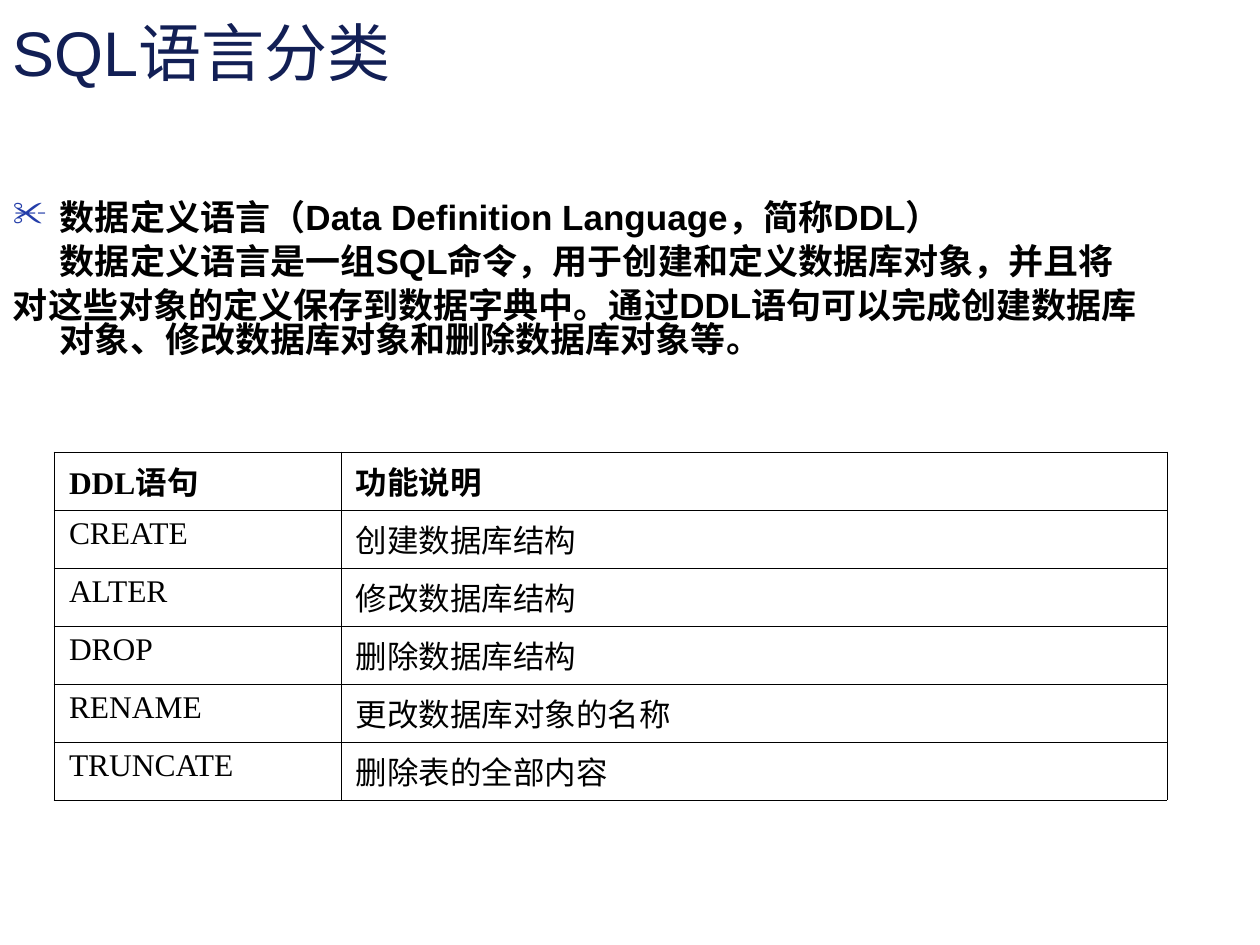
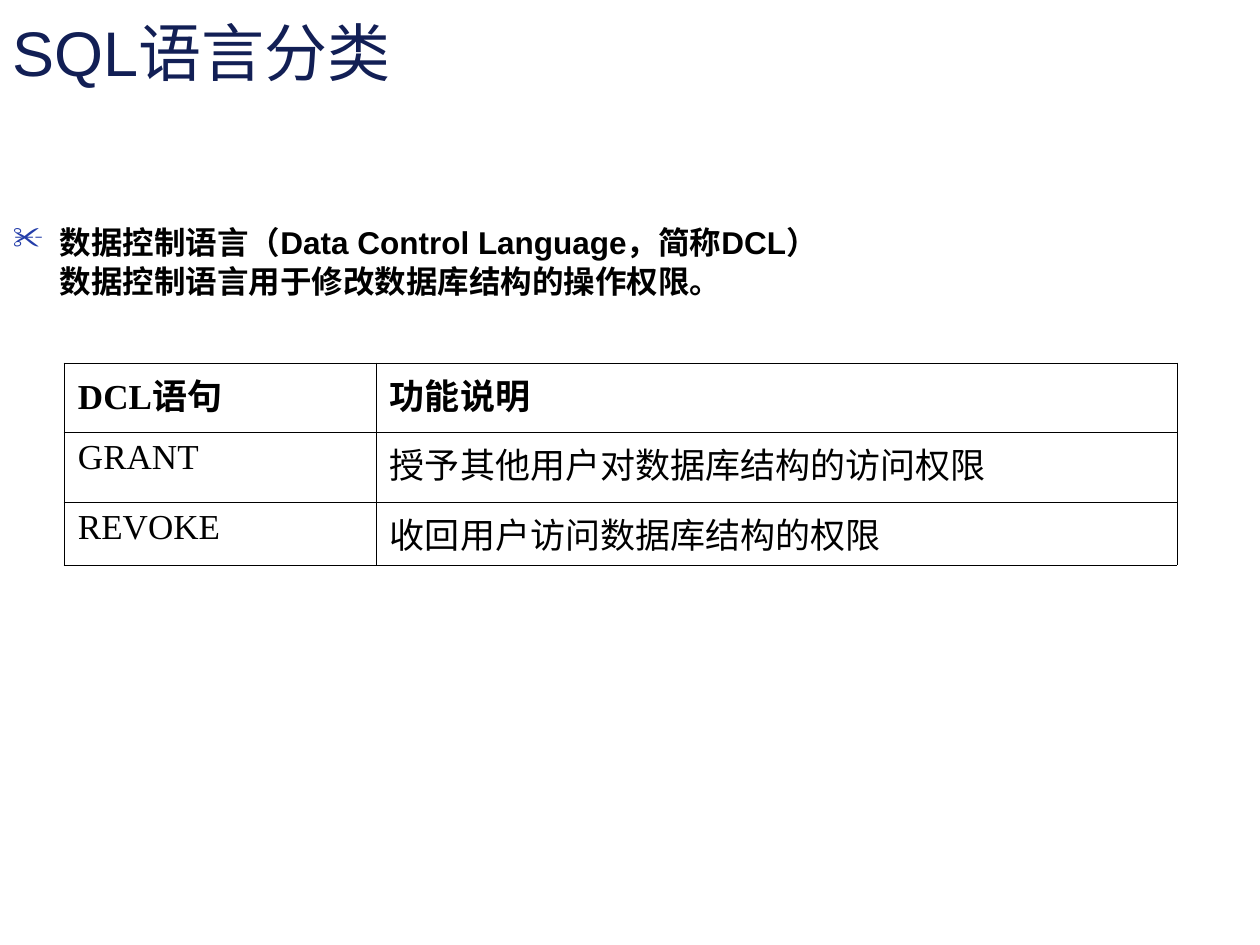
"""Build two slides that classify SQL statements into DDL and DCL."""
import dataclasses

import lxml.etree
import pptx
import pptx.dml.color
import pptx.enum.text
import pptx.oxml.ns
import pptx.util

PX = 914400 / 126


@dataclasses.dataclass(frozen=True)
class Theme:
    navy: str = "121F55"
    blue: str = "233DA9"
    black: str = "000000"
    sans: str = "Arial"
    serif: str = "Times New Roman"
    title_size: int = 36
    large: int = 20
    small: int = 18
    border: float = 0.45
    title_leading: float = 0.9
    body_leading: float = 0.83
    indent: int = 47
    bullet: str = "✂"


def px(n):
    return pptx.util.Emu(round(n * PX))


def add_xml(parent, tag, **attrs):
    return lxml.etree.SubElement(parent, pptx.oxml.ns.qn(tag), attrs)


def write(p, text, *, font, size, color, bold=False, leading=None, before=0,
          margin=0, hang=0, bullet=None, bullet_color=None):
    pPr = p._p.get_or_add_pPr()
    pPr.set("marL", str(px(margin)))
    pPr.set("indent", str(-px(hang)))
    if leading:
        p.line_spacing = leading
    if before:
        p.space_before = pptx.util.Pt(before)
    if bullet:
        add_xml(add_xml(pPr, "a:buClr"), "a:srgbClr", val=bullet_color)
        add_xml(pPr, "a:buChar", char=bullet)
    else:
        add_xml(pPr, "a:buNone")
    r = p.add_run()
    r.text = text
    r.font.name = font
    r.font.size = pptx.util.Pt(size)
    r.font.bold = bold
    r.font.color.rgb = pptx.dml.color.RGBColor.from_string(color)


class Deck:
    def __init__(self, theme):
        self.theme = theme
        self.prs = pptx.Presentation()
        self.prs.slide_width, self.prs.slide_height = px(1260), px(945)
        self.s = None

    def new_slide(self, title):
        t = self.theme
        self.s = self.prs.slides.add_slide(self.prs.slide_layouts[6])
        tf = self.text_frame(0, 16, 1260, 100, 6)
        write(tf.paragraphs[0], title, font=t.sans, size=t.title_size,
              color=t.navy, leading=t.title_leading)

    def text_frame(self, x, y, w, h, top):
        tf = self.s.shapes.add_textbox(px(x), px(y), px(w), px(h)).text_frame
        tf.word_wrap = True
        tf.vertical_anchor = pptx.enum.text.MSO_ANCHOR.TOP
        tf.margin_left = tf.margin_right = px(13)
        tf.margin_top, tf.margin_bottom = px(top), px(6)
        return tf

    def body(self, y, w, size, heading, indented, hanging=None):
        t = self.theme
        tf = self.text_frame(0, y, w, 620, 9)
        style = dict(font=t.sans, size=size, color=t.black, bold=True,
                     leading=t.body_leading, margin=t.indent)
        write(tf.paragraphs[0], heading, hang=t.indent, bullet=t.bullet,
              bullet_color=t.blue, **style)
        write(tf.add_paragraph(), indented, before=size / 4, **style)
        if hanging:
            write(tf.add_paragraph(), hanging, before=size / 4,
                  hang=t.indent, **style)

    def table(self, x, y, widths, heights, size, rows, inset):
        t = self.theme
        tbl = self.s.shapes.add_table(
            len(rows), len(widths), px(x), px(y),
            px(sum(widths)), px(sum(heights))).table
        tbl.first_row = tbl.horz_banding = False
        for col, w in zip(tbl.columns, widths):
            col.width = px(w)
        for i, (row, h, texts) in enumerate(zip(tbl.rows, heights, rows)):
            row.height = px(h)
            for cell, text in zip(row.cells, texts):
                cell.margin_left = cell.margin_right = px(inset)
                cell.margin_top = cell.margin_bottom = px(6)
                self.borders(cell)
                cell.fill.background()
                write(cell.text_frame.paragraphs[0], text, font=t.serif,
                      size=size, color=t.black, bold=i == 0,
                      margin=t.indent, hang=t.indent)

    def borders(self, cell):
        tcPr = cell._tc.get_or_add_tcPr()
        for tag in ("a:lnL", "a:lnR", "a:lnT", "a:lnB"):
            ln = add_xml(tcPr, tag, w=str(pptx.util.Pt(self.theme.border)))
            add_xml(add_xml(ln, "a:solidFill"), "a:srgbClr",
                    val=self.theme.black)


def main():
    theme = Theme()
    deck = Deck(theme)
    title = "SQL语言分类"

    deck.new_slide(title)
    deck.table(54, 452, (287, 826), (58,) * 6, theme.small, [
        ("DDL语句", "功能说明"),
        ("CREATE", "创建数据库结构"),
        ("ALTER", "修改数据库结构"),
        ("DROP", "删除数据库结构"),
        ("RENAME", "更改数据库对象的名称"),
        ("TRUNCATE", "删除表的全部内容"),
    ], 15)
    deck.body(194, 1154, theme.large,
              "数据定义语言（Data Definition Language，简称DDL）",
              "数据定义语言是一组SQL命令，用于创建和定义数据库对象，并且将",
              "对这些对象的定义保存到数据字典中。通过DDL语句可以完成创建数据"
              "库对象、修改数据库对象和删除数据库对象等。")

    deck.new_slide(title)
    deck.table(64, 363, (312, 801), (69, 70, 63), theme.large, [
        ("DCL语句", "功能说明"),
        ("GRANT", "授予其他用户对数据库结构的访问权限"),
        ("REVOKE", "收回用户访问数据库结构的权限"),
    ], 14)
    deck.body(220, 1164, theme.small,
              "数据控制语言（Data Control Language，简称DCL）",
              "数据控制语言用于修改数据库结构的操作权限。")

    deck.prs.save("out.pptx")


if __name__ == "__main__":
    main()
